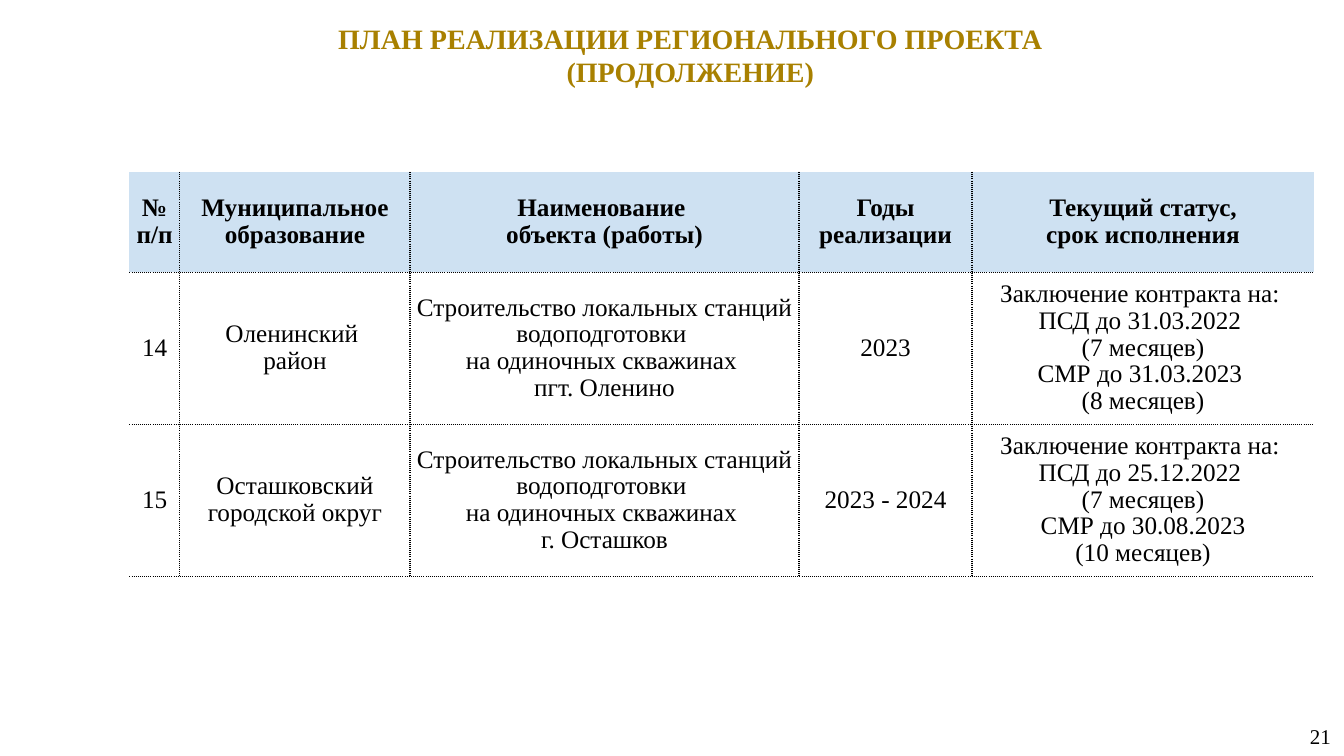
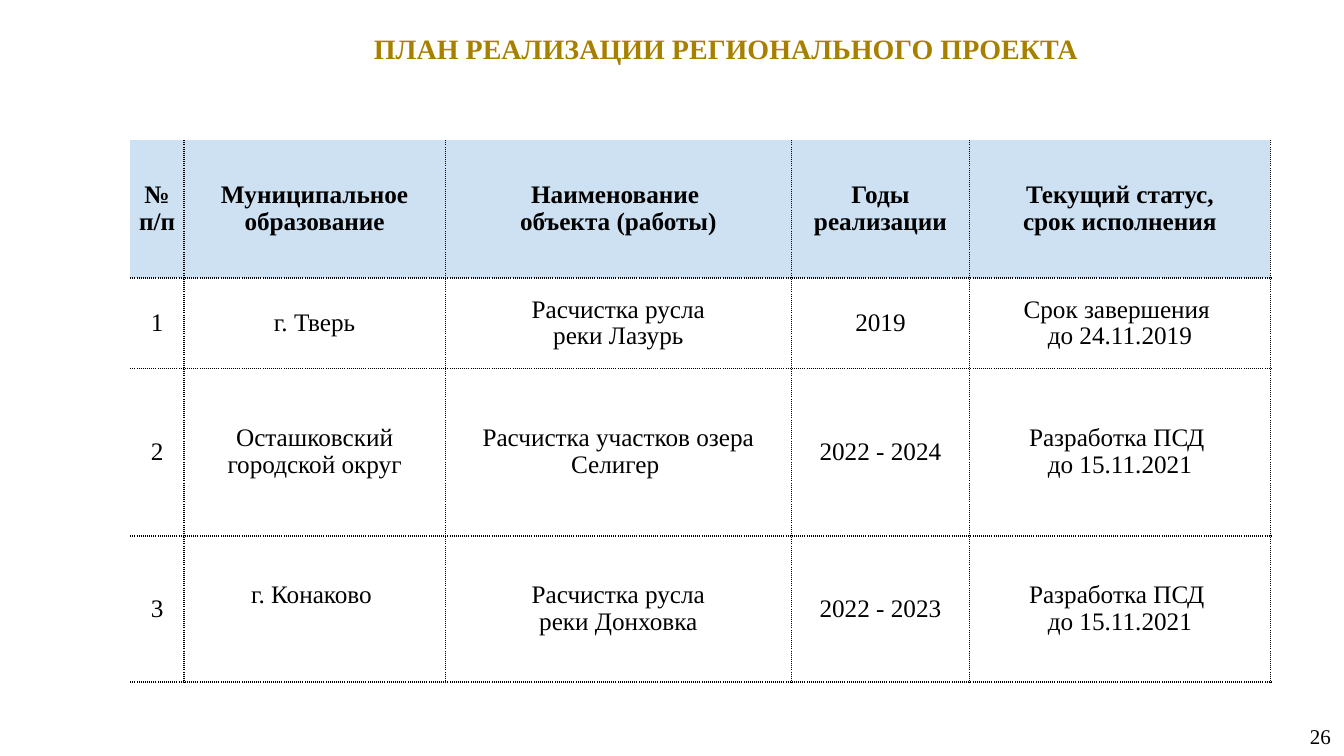
from dataclasses import dataclass

from lxml import etree
from pptx import Presentation
from pptx.dml.color import RGBColor
from pptx.enum.text import MSO_ANCHOR, PP_ALIGN
from pptx.oxml.ns import qn
from pptx.util import Emu, Inches, Pt

CENTER = PP_ALIGN.CENTER
TOP, MIDDLE = MSO_ANCHOR.TOP, MSO_ANCHOR.MIDDLE


@dataclass(frozen=True)
class Theme:
    font: str = "Times New Roman"
    gold: str = "A88000"
    black: str = "000000"
    header_fill: str = "CEE1F2"
    title_size: float = 20
    table_size: float = 18
    number_size: float = 15
    table_spacing: float = 0.96
    border_width: float = 1


@dataclass(frozen=True)
class Box:
    """Left, top, width and height in grid units."""
    left: float
    top: float
    width: float
    height: float


@dataclass(frozen=True)
class PlanSlide:
    title: str
    title_box: Box
    title_inset: float
    number: str
    left: float
    top: float
    columns: tuple[float, ...]
    rows: tuple[float, ...]
    body: tuple[tuple[str, ...], ...]
    right_border: bool = False
    raised_cell: tuple[int, int] | None = None


THEME = Theme()

# The slide is a grid of 160 columns by 90 rows
SLIDE_WIDTH, SLIDE_HEIGHT = Inches(13.33), Inches(7.5)
UNIT = SLIDE_HEIGHT / 90
NUMBER_BOX = Box(154.3, 85.2, 5.7, 4.8)

# In all texts "\n" starts a paragraph and "\v" breaks a line
TITLE = "ПЛАН РЕАЛИЗАЦИИ РЕГИОНАЛЬНОГО ПРОЕКТА"
HEADER = (
    "№ п/п",
    "Муниципальное образование",
    "Наименование \vобъекта (работы)",
    "Годы реализации",
    "Текущий статус,\vсрок исполнения",
)
STATIONS = "Строительство локальных станций водоподготовки \vна одиночных скважинах \v"
CONTRACT = "Заключение контракта на: \n"
DESIGN = "Разработка ПСД \nдо 15.11.2021"

SLIDES = (
    PlanSlide(
        title=TITLE + "\n(ПРОДОЛЖЕНИЕ)",
        title_box=Box(11.9, 1.7, 140.5, 9.7),
        title_inset=0.8,
        number="21",
        left=15.4,
        top=20.5,
        columns=(6, 27.4, 46.3, 20.6, 40.7),
        rows=(11.9, 18.1, 18.1),
        body=(
            ("14", "Оленинский \vрайон", STATIONS + "пгт. Оленино", "2023",
             CONTRACT + "ПСД до 31.03.2022 \v(7 месяцев)\n"
                        "СМР до 31.03.2023 \v(8 месяцев)"),
            ("15", "Осташковский городской округ", STATIONS + "г. Осташков",
             "2023 - 2024",
             CONTRACT + "ПСД до 25.12.2022 \v(7 месяцев)\n"
                        "СМР до 30.08.2023\n(10 месяцев)"),
        ),
    ),
    PlanSlide(
        title=TITLE,
        title_box=Box(17.2, 3.2, 138.4, 4.9),
        title_inset=0.5,
        number="26",
        left=15.5,
        top=16.7,
        columns=(6.4, 31.1, 41.2, 21.2, 35.8),
        rows=(16.4, 10.8, 19.9, 17.4),
        body=(
            ("1", "г. Тверь", "Расчистка русла\nреки Лазурь", "2019",
             "Срок завершения \vдо 24.11.2019"),
            ("2", "Осташковский городской округ",
             "Расчистка участков озера Селигер ", "2022 - 2024", DESIGN),
            ("3", "г. Конаково ", "Расчистка русла\nреки Донховка",
             "2022 - 2023", DESIGN),
        ),
        right_border=True,
        raised_cell=(3, 1),
    ),
)


def grid(units: float) -> Emu:
    return Emu(round(units * UNIT))


def write_text(frame, text: str, *, size: float, color: str = THEME.black,
               bold: bool = False, spacing: float = 1.0) -> None:
    frame.word_wrap = True
    for index, line in enumerate(text.split("\n")):
        paragraph = frame.paragraphs[0] if index == 0 else frame.add_paragraph()
        paragraph.text = line
        paragraph.alignment = CENTER
        paragraph.line_spacing = spacing
        for run in paragraph.runs:
            run.font.name = THEME.font
            run.font.size = Pt(size)
            run.font.bold = bold
            run.font.color.rgb = RGBColor.from_string(color)


def add_text_box(slide, box: Box, text: str, *, inset: float, anchor=TOP,
                 **text_format) -> None:
    shape = slide.shapes.add_textbox(
        grid(box.left), grid(box.top), grid(box.width), grid(box.height))
    frame = shape.text_frame
    frame.margin_left = frame.margin_right = grid(inset * 2)
    frame.margin_top = frame.margin_bottom = grid(inset)
    frame.vertical_anchor = anchor
    write_text(frame, text, **text_format)


def set_borders(cell, visible: dict[str, bool]) -> None:
    properties = cell._tc.get_or_add_tcPr()
    for side, shown in visible.items():
        line = etree.SubElement(properties, qn(f"a:ln{side}"),
                                w=str(Pt(THEME.border_width)))
        if shown:
            fill = etree.SubElement(line, qn("a:solidFill"))
            etree.SubElement(fill, qn("a:srgbClr"), val=THEME.black)
            etree.SubElement(line, qn("a:prstDash"), val="sysDot")
        else:
            etree.SubElement(line, qn("a:noFill"))


def add_plan_table(slide, plan: PlanSlide) -> None:
    table = slide.shapes.add_table(
        len(plan.rows), len(plan.columns), grid(plan.left), grid(plan.top),
        grid(sum(plan.columns)), grid(sum(plan.rows))).table
    table.first_row = table.horz_banding = False
    for column, width in zip(table.columns, plan.columns):
        column.width = grid(width)
    for row, height in zip(table.rows, plan.rows):
        row.height = grid(height)

    last_column = len(plan.columns) - 1
    for row_index, texts in enumerate((HEADER, *plan.body)):
        is_header = row_index == 0
        for column_index, text in enumerate(texts):
            cell = table.cell(row_index, column_index)
            cell.margin_left = cell.margin_right = 0
            cell.margin_top = cell.margin_bottom = 0
            if (row_index, column_index) == plan.raised_cell:
                cell.margin_bottom = grid(3.3)
            cell.vertical_anchor = MIDDLE
            set_borders(cell, {
                "L": column_index > 0,
                "R": column_index < last_column or plan.right_border,
                "T": not is_header,
                "B": True,
            })
            if is_header:
                cell.fill.solid()
                cell.fill.fore_color.rgb = RGBColor.from_string(THEME.header_fill)
            else:
                cell.fill.background()
            write_text(cell.text_frame, text, size=THEME.table_size,
                       bold=is_header, spacing=THEME.table_spacing)


def add_plan_slide(presentation, plan: PlanSlide) -> None:
    slide = presentation.slides.add_slide(presentation.slide_layouts[6])
    add_plan_table(slide, plan)
    add_text_box(slide, plan.title_box, plan.title, inset=plan.title_inset,
                 size=THEME.title_size, color=THEME.gold, bold=True)
    add_text_box(slide, NUMBER_BOX, plan.number, inset=0.6, anchor=MIDDLE,
                 size=THEME.number_size)


def main() -> None:
    presentation = Presentation()
    presentation.slide_width = SLIDE_WIDTH
    presentation.slide_height = SLIDE_HEIGHT
    for plan in SLIDES:
        add_plan_slide(presentation, plan)
    presentation.save("out.pptx")


if __name__ == "__main__":
    main()
